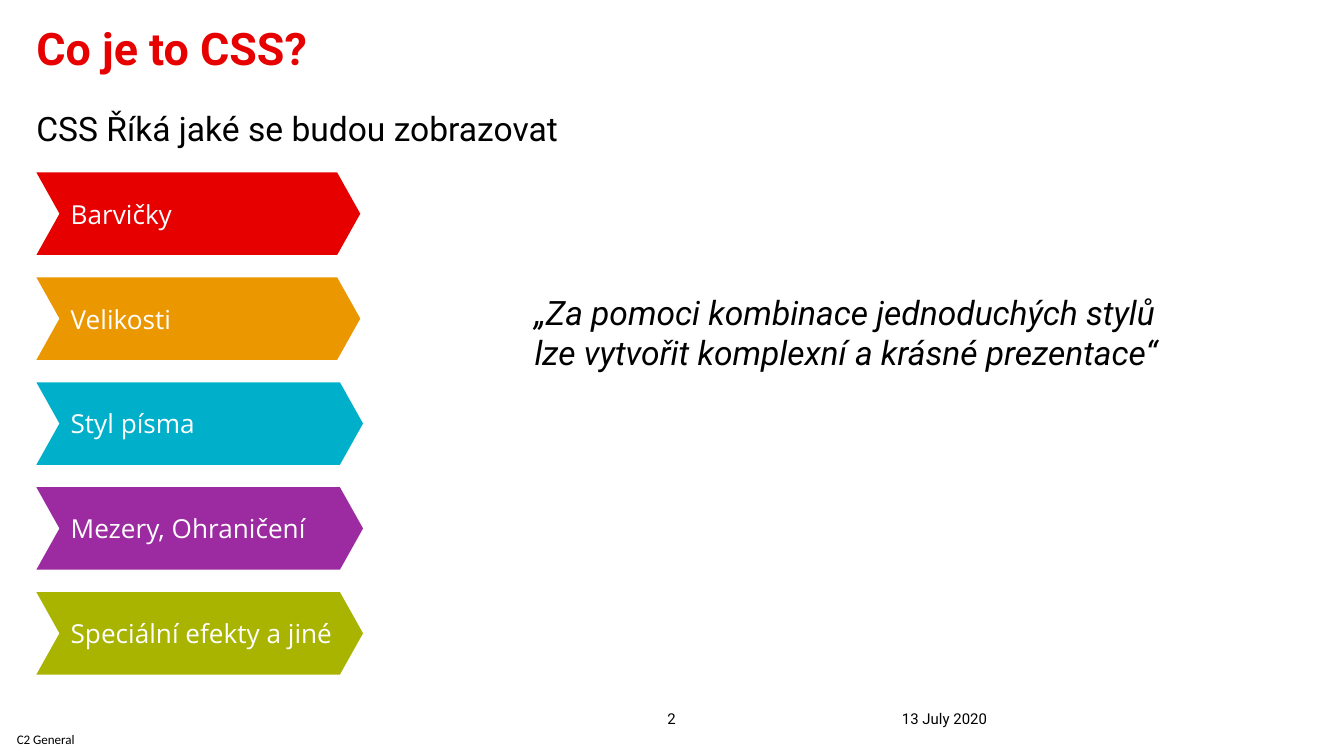
from pptx import Presentation
from pptx.dml.color import RGBColor
from pptx.enum.shapes import MSO_SHAPE
from pptx.enum.text import MSO_ANCHOR, PP_ALIGN
from pptx.util import Pt

RED = RGBColor(0xE6, 0x00, 0x00)
ORANGE = RGBColor(0xEB, 0x97, 0x00)
TURQUOISE = RGBColor(0x00, 0xB0, 0xCA)
PURPLE = RGBColor(0x9C, 0x2A, 0xA0)
GREEN = RGBColor(0xA8, 0xB4, 0x00)
BLACK = RGBColor(0x00, 0x00, 0x00)
WHITE = RGBColor(0xFF, 0xFF, 0xFF)

# Content
TITLE = "Co je to CSS?"
SUBTITLE = "CSS Říká jaké se budou zobrazovat"
QUOTE = "„Za pomoci kombinace jednoduchých stylů lze vytvořit komplexní a krásné prezentace“"
# Label, fill, width
CHEVRONS = [
    ("Barvičky", RED, 173.5),
    ("Velikosti", ORANGE, 173.5),
    ("Styl písma", TURQUOISE, 175),
    ("Mezery, Ohraničení", PURPLE, 175),
    ("Speciální efekty a jiné", GREEN, 175),
]
# Text, box, font name, size, anchor, alignment
FOOTERS = [
    ("C2 General", (0, 388, 49, 16.5), "Calibri", 7, MSO_ANCHOR.MIDDLE, PP_ALIGN.CENTER),
    ("2", (343.5, 371, 32.5, 18.5), "Roboto", 8, MSO_ANCHOR.BOTTOM, PP_ALIGN.CENTER),
    ("13 July 2020", (483.2, 371, 168, 18.5), "Roboto", 8, MSO_ANCHOR.BOTTOM, PP_ALIGN.LEFT),
]

# Formats
TITLE_FONT = {"name": "Roboto", "size": Pt(24), "bold": True}
SUBTITLE_FONT = {"name": "Roboto", "size": Pt(18), "bold": False}
QUOTE_FONT = {"name": "Roboto", "size": Pt(18), "italic": True}
LABEL_FONT = {"name": "Open Sans", "size": Pt(14)}

# Layout
LEFT = 19.5
CHEVRON_TOP, CHEVRON_HEIGHT, CHEVRON_STEP = 92.4, 44.2, 56.2


def set_frame(frame, margins, anchor):
    frame.word_wrap = True
    frame.vertical_anchor = anchor
    for side, margin in zip(("left", "top", "right", "bottom"), margins):
        setattr(frame, f"margin_{side}", Pt(margin))


def add_text_box(slide, box, margins=(0, 0, 0, 0), anchor=MSO_ANCHOR.TOP):
    shape = slide.shapes.add_textbox(*map(Pt, box))
    set_frame(shape.text_frame, margins, anchor)
    return shape.text_frame


def write(paragraph, text, color, font_values, alignment=PP_ALIGN.LEFT):
    paragraph.alignment = alignment
    run = paragraph.add_run()
    run.text = text
    run.font.color.rgb = color
    for name, value in font_values.items():
        setattr(run.font, name, value)


def main():
    presentation = Presentation()
    presentation.slide_width, presentation.slide_height = Pt(720), Pt(405)
    slide = presentation.slides.add_slide(presentation.slide_layouts[6])

    # Title and subtitle
    frame = add_text_box(slide, (LEFT, 16.5, 680, 52.5))
    title, subtitle = frame.paragraphs[0], frame.add_paragraph()
    write(title, TITLE, RED, TITLE_FONT)
    write(subtitle, SUBTITLE, BLACK, SUBTITLE_FONT)
    title.line_spacing = subtitle.line_spacing = 0.8
    subtitle.space_before = Pt(22.5)

    # Chevron list
    for index, (label, color, width) in enumerate(CHEVRONS):
        top = CHEVRON_TOP + index * CHEVRON_STEP
        shape = slide.shapes.add_shape(
            MSO_SHAPE.CHEVRON, Pt(LEFT), Pt(top), Pt(width), Pt(CHEVRON_HEIGHT))
        shape.adjustments[0] = 0.28
        shape.shadow.inherit = False
        shape.fill.solid()
        shape.fill.fore_color.rgb = color
        shape.line.fill.background()
        set_frame(shape.text_frame, (6, 3, 3, 3), MSO_ANCHOR.MIDDLE)
        write(shape.text_frame.paragraphs[0], label, WHITE, LABEL_FONT)

    # Quote
    frame = add_text_box(slide, (279.3, 152.8, 360, 51), (7.2, 3.6, 7.2, 3.6))
    write(frame.paragraphs[0], QUOTE, BLACK, QUOTE_FONT)

    # Footer
    for text, box, font_name, size, anchor, alignment in FOOTERS:
        frame = add_text_box(slide, box, anchor=anchor)
        write(frame.paragraphs[0], text, BLACK,
              {"name": font_name, "size": Pt(size)}, alignment)

    presentation.save("out.pptx")


if __name__ == "__main__":
    main()
